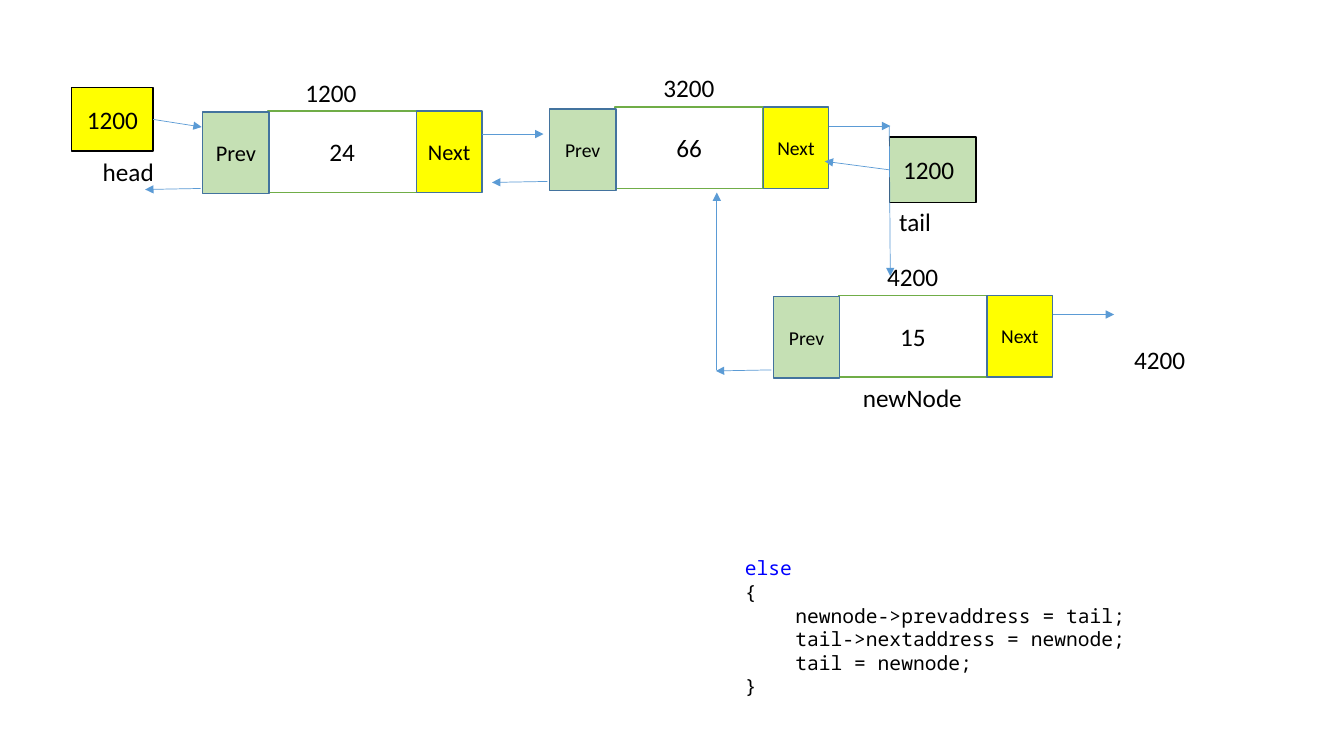
"""Draw a doubly linked list with a new node being added at its tail."""
from dataclasses import dataclass

from lxml.etree import SubElement
from pptx import Presentation
from pptx.dml.color import RGBColor
from pptx.enum.shapes import MSO_CONNECTOR, MSO_SHAPE
from pptx.enum.text import MSO_ANCHOR, MSO_AUTO_SIZE, PP_ALIGN
from pptx.oxml.ns import qn
from pptx.util import Inches, Pt


@dataclass(frozen=True)
class Theme:
    """Colours, fonts and type sizes."""
    black: str = "000000"
    white: str = "FFFFFF"
    yellow: str = "FFFF00"
    mint: str = "C5E0B4"
    green: str = "70AD47"
    navy: str = "43739E"
    arrow: str = "5B9BD5"
    keyword: str = "0000FF"
    sans: str = "Calibri"
    mono: str = "Noto Sans Mono"
    body: int = 18
    code: int = 14


THEME = Theme()
WIDE, HIGH = 13.33, 7.5

NODES = [
    {"at": (2.01, 1.1), "value": "24", "size": 16,
     "name": ("1200", 0.92, -0.38), "drop": 0.01, "next": 0.23, "prev": 0.77},
    {"at": (5.45, 1.06), "value": "66", "size": 14,
     "name": ("3200", 1.03, -0.39), "drop": 0.02, "next": 0.19, "prev": 0.74},
    {"at": (7.67, 2.93), "value": "15", "size": 14,
     "name": ("4200", 1.03, -0.39), "drop": 0.01, "next": 0.19, "prev": 0.74},
]
LABELS = [
    ("head", 0.92, 1.5, 0.72),
    ("tail", 8.82, 2, 0.52),
    ("1200", 8.86, 1.48, 0.71),
    ("newNode", 8.46, 3.74, 1.2),
    ("4200", 11.15, 3.37, 0.71),
]
LINKS = [
    ((7.11, 3.67), (7.11, 1.91)),
    ((8.82, 1.25), (8.83, 2.74)),
]
CODE = [
    ("else", THEME.keyword),
    ("{", THEME.black),
    ("\tnewnode->prevaddress = tail;", THEME.black),
    ("\ttail->nextaddress = newnode;", THEME.black),
    ("\ttail = newnode;", THEME.black),
    ("}", THEME.black),
]

PREV, DATA, NEXT, TALL = 0.66, 1.47, 0.65, 0.81
DATA_X = 0.65
NEXT_X = DATA_X + DATA


def write(para, text, size, color=THEME.black, face=THEME.sans):
    """Add one run to a paragraph."""
    run = para.add_run()
    run.text = text
    run.font.size = Pt(size)
    run.font.name = face
    run.font.color.rgb = RGBColor.from_string(color)


def box(slide, area, fill, line, text="", size=THEME.body):
    """Add a bordered rectangle with centred text."""
    shape = slide.shapes.add_shape(MSO_SHAPE.RECTANGLE, *map(Inches, area))
    shape.shadow.inherit = False
    shape.fill.solid()
    shape.fill.fore_color.rgb = RGBColor.from_string(fill)
    shape.line.color.rgb = RGBColor.from_string(line)
    shape.line.width = Pt(1)
    if text:
        frame = shape.text_frame
        frame.vertical_anchor = MSO_ANCHOR.MIDDLE
        para = frame.paragraphs[0]
        para.alignment = PP_ALIGN.CENTER
        write(para, text, size)
    return shape


def label(slide, text, left, top, width):
    """Add a one-line caption."""
    area = map(Inches, (left, top, width, 0.4))
    frame = slide.shapes.add_textbox(*area).text_frame
    frame.word_wrap = False
    frame.auto_size = MSO_AUTO_SIZE.SHAPE_TO_FIT_TEXT
    write(frame.paragraphs[0], text, THEME.body)


def arrow(slide, start, end):
    """Add a thin line with a triangle at its end."""
    line = slide.shapes.add_connector(
        MSO_CONNECTOR.STRAIGHT, *map(Inches, start + end))
    line.line.color.rgb = RGBColor.from_string(THEME.arrow)
    line.line.width = Pt(0.5)
    SubElement(line.line._get_or_add_ln(), qn("a:tailEnd"), type="triangle")
    SubElement(line._element.spPr, qn("a:effectLst"))
    return line


def draw_node(slide, node):
    """Add the three cells, address and pointers of a node."""
    x, y = node["at"]
    size = node["size"]
    box(slide, (x + DATA_X, y, DATA, TALL), THEME.white, THEME.green,
        node["value"])
    box(slide, (x + NEXT_X, y, NEXT, TALL), THEME.yellow, THEME.navy,
        "Next", size)
    box(slide, (x, y + node["drop"], PREV, TALL), THEME.mint, THEME.navy,
        "Prev", size)
    text, right, down = node["name"]
    label(slide, text, x + right, y + down, 0.71)
    edge, out = x + NEXT_X + NEXT, y + node["next"]
    arrow(slide, (edge, out), (edge + 0.61, out))
    back = y + node["prev"]
    arrow(slide, (x - 0.02, back), (x - 0.57, back + 0.01))


def draw_code(slide):
    """Add the code listing."""
    area = map(Inches, (6.79, 5.47, 6.67, 1.51))
    frame = slide.shapes.add_textbox(*area).text_frame
    frame.word_wrap = True
    frame.auto_size = MSO_AUTO_SIZE.SHAPE_TO_FIT_TEXT
    for row, (text, color) in enumerate(CODE):
        para = frame.add_paragraph() if row else frame.paragraphs[0]
        para.level = 1
        para._p.get_or_add_pPr().set("marL", str(Inches(0.5)))
        write(para, text, THEME.code, color, THEME.mono)


def main():
    """Build and save the slide."""
    deck = Presentation()
    deck.slide_width, deck.slide_height = Inches(WIDE), Inches(HIGH)
    slide = deck.slides.add_slide(deck.slide_layouts[6])
    for node in NODES:
        draw_node(slide, node)
    head = box(slide, (0.71, 0.87, 0.81, 0.63), THEME.yellow, THEME.black,
               "1200")
    tail = box(slide, (8.82, 1.36, 0.86, 0.65), THEME.mint, THEME.black)
    arrow(slide, (1.52, 1.19), (2, 1.26)).begin_connect(head, 3)
    arrow(slide, (8.82, 1.68), (8.18, 1.6)).begin_connect(tail, 1)
    for item in LABELS:
        label(slide, *item)
    draw_code(slide)
    for start, end in LINKS:
        arrow(slide, start, end)
    deck.save("out.pptx")


if __name__ == "__main__":
    main()
